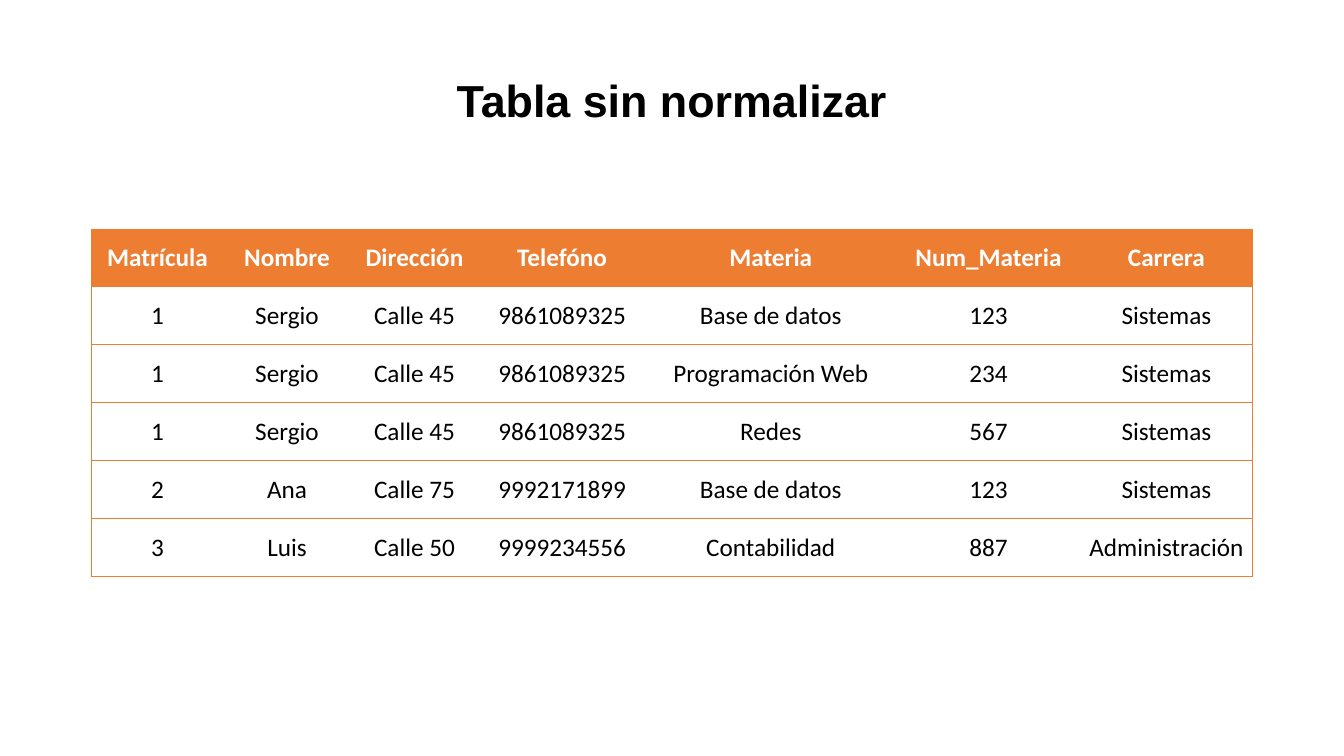
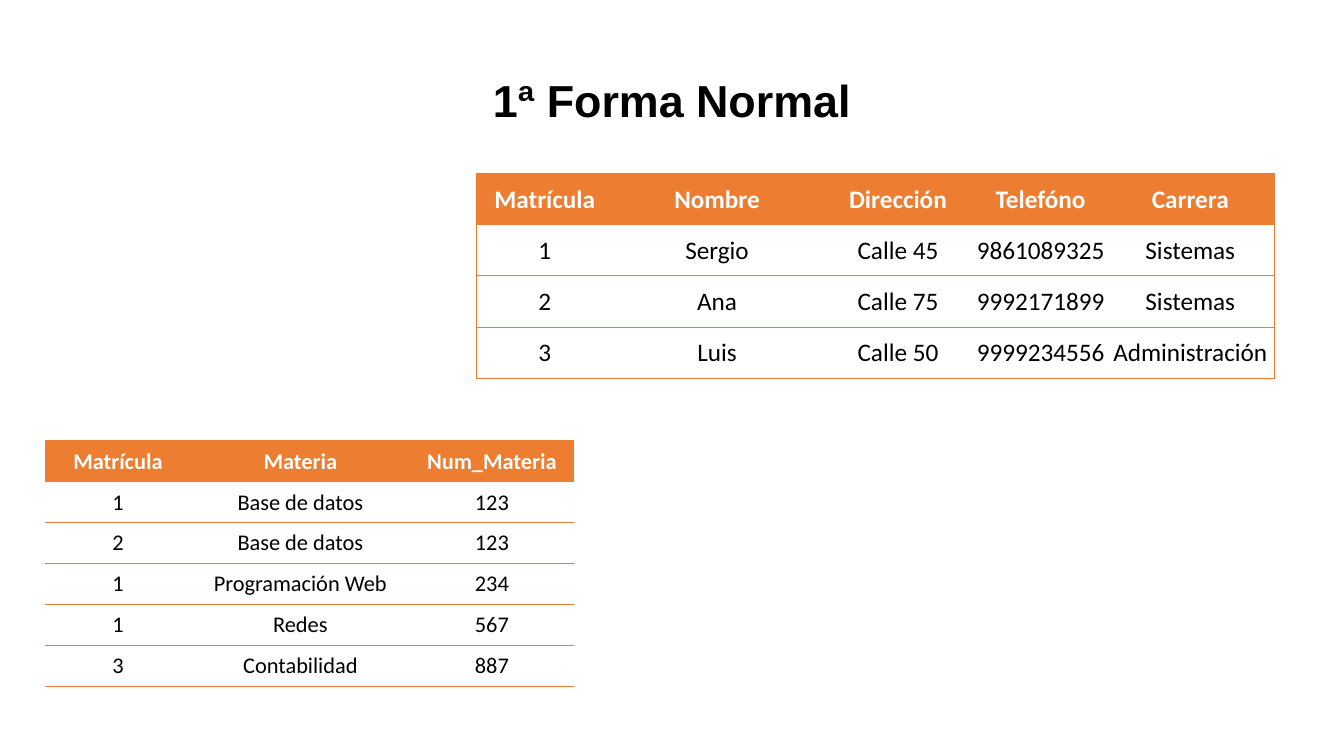
import pptx
import pptx.dml.color
import pptx.enum.text
import pptx.util
from pptx.oxml.ns import qn
from lxml import etree

COLORS = {"accent": "ED7D31", "header_text": "FFFFFF", "text": "000000"}
RGB = {name: pptx.dml.color.RGBColor.from_string(h) for name, h in COLORS.items()}
CENTER = pptx.enum.text.PP_ALIGN.CENTER
MIDDLE = pptx.enum.text.MSO_ANCHOR.MIDDLE

prs = pptx.Presentation()
prs.slide_width = pptx.util.Inches(13.33)
prs.slide_height = pptx.util.Inches(7.5)


def place(left, top, width, height):
    """Turn percentages of the slide's size into lengths."""
    w, h = prs.slide_width / 100, prs.slide_height / 100
    return [round(v) for v in (left * w, top * h, width * w, height * h)]


def add_grid(s, rows, box, weights, size, framed):
    """Add a table; weights are relative column widths, framed adds outer side lines."""
    left, top, width, height = place(*box)
    tbl = s.shapes.add_table(len(rows), len(weights), left, top, width, height).table
    tbl.horz_banding = False
    for column, weight in zip(tbl.columns, weights):
        column.width = round(width * weight / sum(weights))
    for i, row in enumerate(rows):
        tbl.rows[i].height = round(height / len(rows))
        for j, value in enumerate(row):
            cell = tbl.cell(i, j)
            cell.text = value
            cell.vertical_anchor = MIDDLE
            cell.margin_left = cell.margin_right = cell.margin_top = pptx.util.Inches(0.01)
            cell.margin_bottom = 0
            p = cell.text_frame.paragraphs[0]
            p.alignment = CENTER
            p.font.name = "Calibri"
            p.font.size = pptx.util.Pt(size)
            p.font.bold = i == 0
            p.font.color.rgb = RGB["text" if i else "header_text"]

            sides = {"L": framed and j == 0, "R": framed and j == len(row) - 1,
                     "T": True, "B": True}
            tcPr = cell._tc.get_or_add_tcPr()
            for side, drawn in sides.items():
                ln = etree.SubElement(tcPr, qn("a:ln" + side), w=str(pptx.util.Pt(0.5)))
                if drawn:
                    fill = etree.SubElement(ln, qn("a:solidFill"))
                    etree.SubElement(fill, qn("a:srgbClr"), val=COLORS["accent"])
                else:
                    etree.SubElement(ln, qn("a:noFill"))
            if i == 0:
                cell.fill.solid()
                cell.fill.fore_color.rgb = RGB["accent"]
            else:
                cell.fill.background()


header = ("Matrícula", "Nombre", "Dirección", "Telefóno", "Materia", "Num_Materia", "Carrera")
records = [
    ("1", "Sergio", "Calle 45", "9861089325", "Base de datos", "123", "Sistemas"),
    ("1", "Sergio", "Calle 45", "9861089325", "Programación Web", "234", "Sistemas"),
    ("1", "Sergio", "Calle 45", "9861089325", "Redes", "567", "Sistemas"),
    ("2", "Ana", "Calle 75", "9992171899", "Base de datos", "123", "Sistemas"),
    ("3", "Luis", "Calle 50", "9999234556", "Contabilidad", "887", "Administración"),
]

# First normal form: one row per student, and one per subject taken
students = list(dict.fromkeys(r[:4] + r[6:] for r in [header] + records))
by_subject = sorted(records, key=lambda r: r[5])
subjects = [(r[0], r[4], r[5]) for r in [header] + by_subject]

# Each table: rows, box in % of the slide, column weights, text size, framed
slides = [
    ("Tabla sin normalizar", [
        ([header] + records, (6.77, 30.27, 86.4, 46),
         (1.32, 1.25, 1.28, 1.65, 2.49, 1.83, 1.7), 18, True),
    ]),
    ("1ª Forma Normal", [
        (subjects, (3.38, 58.27, 39.3, 32.5), (1.44, 2.18, 1.62), 16, False),
        (students, (35.43, 22.93, 59.4, 27.1), (1.36, 2.06, 1.53, 1.3, 1.67), 18, True),
    ]),
]

for title, tables in slides:
    s = prs.slides.add_slide(prs.slide_layouts[5])
    sp = s.shapes.title
    sp.left, sp.top, sp.width, sp.height = place(2, 9.2, 96, 8)
    tf = sp.text_frame
    tf.text = title
    tf.word_wrap = True
    tf.auto_size = pptx.enum.text.MSO_AUTO_SIZE.NONE
    tf.vertical_anchor = MIDDLE
    tf.margin_left = tf.margin_right = pptx.util.Inches(0.13)
    tf.margin_top = tf.margin_bottom = pptx.util.Inches(0.13)
    p = tf.paragraphs[0]
    p.alignment = CENTER
    p.font.name = "Arial"
    p.font.size = pptx.util.Pt(32)
    p.font.bold = True
    p.font.color.rgb = RGB["text"]
    for table in tables:
        add_grid(s, *table)

prs.save("out.pptx")
